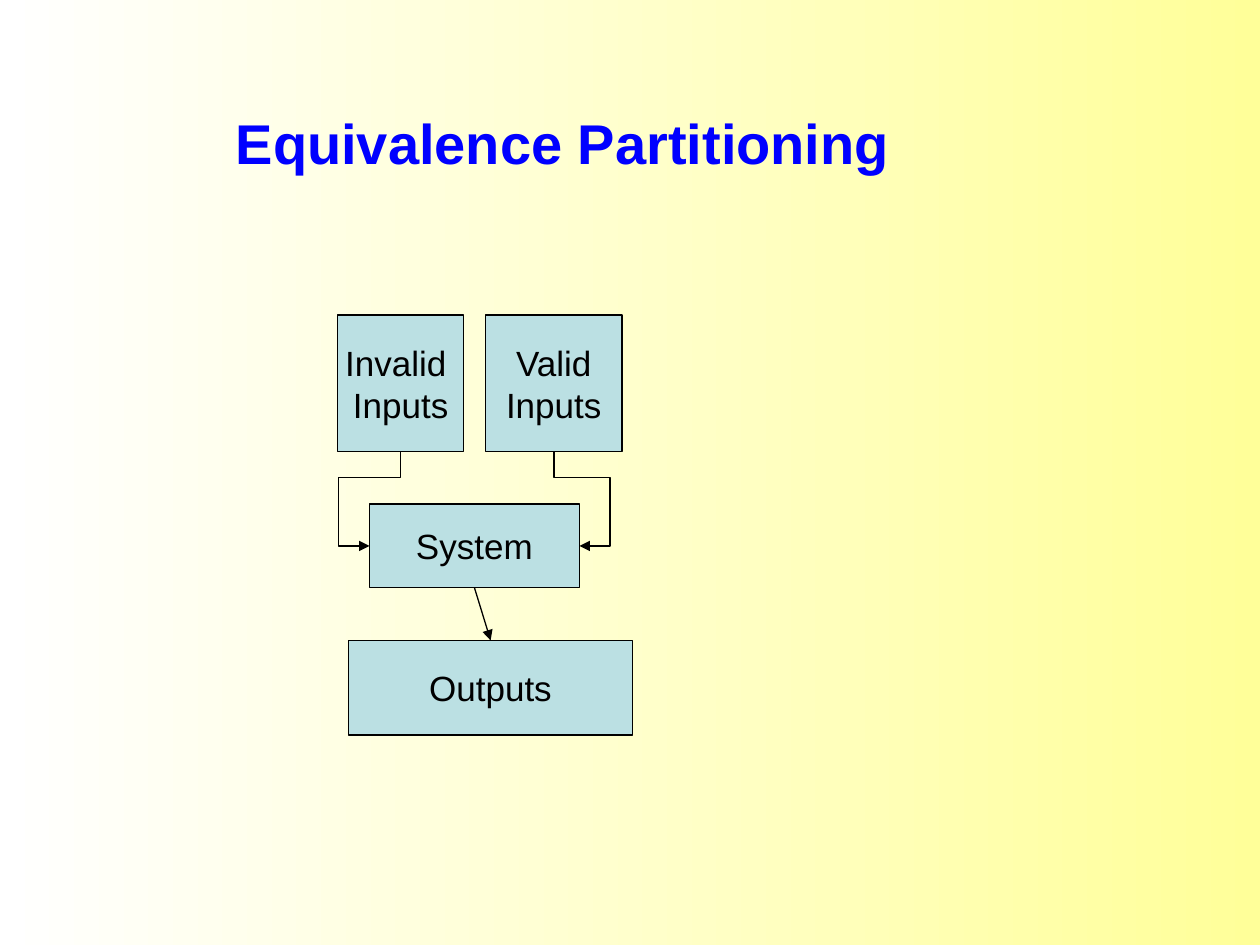
from lxml import etree
from pptx import Presentation
from pptx import util as u
from pptx.dml.color import RGBColor
from pptx.enum import shapes, text
from pptx.oxml.ns import qn

BLACK = RGBColor(0x00, 0x00, 0x00)
BLUE = RGBColor(0x00, 0x00, 0xFF)
PALE_TEAL = RGBColor(0xBB, 0xE0, 0xE3)
YELLOW = RGBColor(0xFF, 0xFF, 0x99)
WHITE = RGBColor(0xFF, 0xFF, 0xFF)


def paint_background(slide):
    """Fill the slide from white on the left to yellow on the right."""
    fill = slide.background.fill
    fill.gradient()
    fill.gradient_angle = 180
    for stop, color in zip(fill.gradient_stops, (YELLOW, WHITE)):
        stop.color.rgb = color


def write_lines(frame, lines, size, color, bold=False):
    """Write centred paragraphs, one run each, in the middle of a frame."""
    frame.vertical_anchor = text.MSO_ANCHOR.MIDDLE
    for index, line in enumerate(lines):
        paragraph = frame.add_paragraph() if index else frame.paragraphs[0]
        paragraph.alignment = text.PP_ALIGN.CENTER
        run = paragraph.add_run()
        run.text = line
        run.font.name = "Arial"
        run.font.size = u.Pt(size)
        run.font.bold = bold
        run.font.color.rgb = color


def add_title(slide, left, top, width, height):
    """Place the heading in the upper part of its box."""
    heading = slide.shapes.add_textbox(left, top, width, height).text_frame
    heading.word_wrap = True
    heading.margin_bottom = u.Cm(1.4)
    write_lines(heading, ["Equivalence Partitioning "], 32, BLUE, bold=True)


def add_stage(slide, lines, left, top, width, height):
    """Draw one labelled stage of the flow."""
    stage = slide.shapes.add_shape(
        shapes.MSO_SHAPE.RECTANGLE, left, top, width, height)
    stage.shadow.inherit = False
    stage.fill.solid()
    stage.fill.fore_color.rgb = PALE_TEAL
    stage.line.color.rgb = BLACK
    stage.line.width = u.Pt(0.75)
    stage.text_frame.word_wrap = False
    write_lines(stage.text_frame, lines, 20, BLACK)
    return stage


def add_arrow(slide, kind, start, end):
    """Draw a thin black connector with a triangle at its end."""
    arrow = slide.shapes.add_connector(kind, *start, *end)
    arrow.line.color.rgb = BLACK
    arrow.line.width = u.Pt(0.75)
    etree.SubElement(arrow.line._get_or_add_ln(), qn("a:tailEnd"), type="triangle")
    etree.SubElement(arrow._element.spPr, qn("a:effectLst"))
    return arrow


def add_side_arrow(slide, start, end, detour):
    """Lead an arrow down, out and back into the side of a stage."""
    drop, shift = end[1] - start[1], end[0] - start[0]
    middle_x, middle_y = (start[0] + end[0]) // 2, (start[1] + end[1]) // 2
    half_run, half_rise = drop // 2, abs(shift) // 2
    direction = 1 if shift < 0 else -1
    arrow = add_arrow(
        slide, shapes.MSO_CONNECTOR.ELBOW,
        (middle_x - direction * half_run, middle_y - half_rise),
        (middle_x + direction * half_run, middle_y + half_rise))
    properties = arrow._element.spPr
    properties.find(qn("a:xfrm")).set("rot", str((90 if shift < 0 else 270) * 60000))
    geometry = properties.find(qn("a:prstGeom"))
    geometry.set("prst", "bentConnector4")
    guides = geometry.find(qn("a:avLst"))
    if guides is None:
        guides = etree.SubElement(geometry, qn("a:avLst"))
    for name, share in (("adj1", 0.278), ("adj2", detour)):
        etree.SubElement(guides, qn("a:gd"), name=name, fmla=f"val {round(share * 100000)}")


def bottom_centre(stage):
    """Return the point in the middle of a stage's lower edge."""
    return stage.left + stage.width // 2, stage.top + stage.height


def add_flow(slide, left, top):
    """Draw inputs, system and outputs with the arrows between them."""
    layout = (
        (("Invalid ", "Inputs"), 0, 0, 2.54, 2.75),
        (("Valid", "Inputs"), 2.98, 0, 2.75, 2.75),
        (("System",), 0.64, 3.81, 4.23, 1.69),
        (("Outputs",), 0.22, 6.56, 5.72, 1.91),
    )
    invalid, valid, system, outputs = (
        add_stage(slide, lines, left + u.Cm(x), top + u.Cm(y), u.Cm(width), u.Cm(height))
        for lines, x, y, width, height in layout)
    system_middle = system.top + system.height // 2
    add_side_arrow(slide, bottom_centre(invalid), (system.left, system_middle), 2)
    add_side_arrow(
        slide, bottom_centre(valid), (system.left + system.width, system_middle), 2.2)
    add_arrow(
        slide, shapes.MSO_CONNECTOR.STRAIGHT, bottom_centre(system),
        (outputs.left + outputs.width // 2, outputs.top))


def main():
    """Build the slide and save it."""
    deck = Presentation()
    deck.slide_width, deck.slide_height = u.Cm(25.4), u.Cm(19.05)
    slide = deck.slides.add_slide(deck.slide_layouts[6])
    paint_background(slide)
    add_flow(slide, u.Cm(6.81), u.Cm(6.35))
    add_title(slide, u.Cm(0.99), u.Cm(2.33), u.Cm(21.03), u.Cm(2.33))
    deck.save("out.pptx")


if __name__ == "__main__":
    main()
